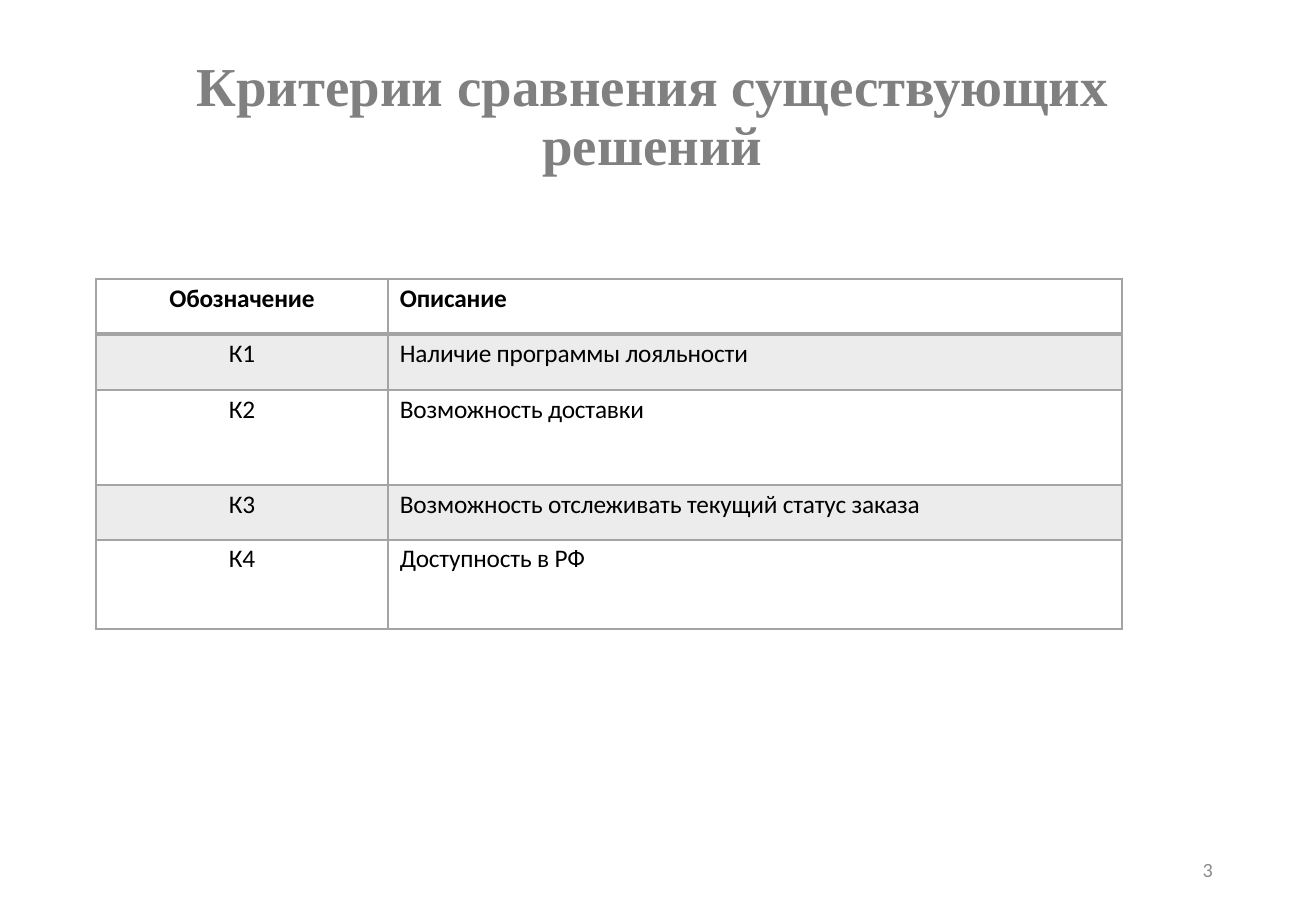
import pptx
import pptx.util
import pptx.dml.color
import pptx.enum.text
import lxml.etree

SCALE = 7526
RGB = pptx.dml.color.RGBColor
ALIGN = pptx.enum.text.PP_ALIGN
BLACK = RGB(0x00, 0x00, 0x00)
GRAY = RGB(0x80, 0x80, 0x80)
PALE = RGB(0x8C, 0x8C, 0x8C)
BAND = RGB(0xEC, 0xEC, 0xEC)
EDGE = RGB(0xA4, 0xA4, 0xA4)
ROWS = [
    ("Обозначение", "Описание", 55),
    ("К1", "Наличие программы лояльности", 56),
    ("К2", "Возможность доставки", 95),
    ("К3", "Возможность отслеживать текущий статус заказа", 55),
    ("К4", "Доступность в РФ", 89),
]
COLS = [(292, 0, ALIGN.CENTER), (734, 12, ALIGN.LEFT)]


def px(count):
    """Turn pixels into EMU."""
    return pptx.util.Emu(count * SCALE)


def write(frame, text, size, face, color, align, bold=False):
    """Put one styled paragraph in a text frame and return it."""
    para = frame.paragraphs[0]
    para.text = text
    para.alignment = align
    font = para.font
    font.size = pptx.util.Pt(size)
    font.name = face
    font.bold = bold
    font.color.rgb = color
    return para


def label(slide, box, *style):
    """Add a wrapped, vertically centred text box and return its paragraph."""
    frame = slide.shapes.add_textbox(*map(px, box)).text_frame
    frame.word_wrap = True
    frame.vertical_anchor = pptx.enum.text.MSO_ANCHOR.MIDDLE
    return write(frame, *style)


def border(cell, side, width):
    """Draw one side of a cell."""
    space = "{http://schemas.openxmlformats.org/drawingml/2006/main}"
    props = cell._tc.get_or_add_tcPr()
    line = lxml.etree.SubElement(props, space + "ln" + side)
    line.set("w", str(pptx.util.Pt(width)))
    fill = lxml.etree.SubElement(line, space + "solidFill")
    lxml.etree.SubElement(fill, space + "srgbClr").set("val", str(EDGE))


def entry(cell, text, row, inset, align):
    """Fill and style one cell."""
    cell.margin_left = px(inset)
    cell.margin_right = cell.margin_bottom = 0
    cell.margin_top = px(4)
    para = write(cell.text_frame, text, 15, "Calibri", BLACK, align, row == 0)
    para.space_before = pptx.util.Pt(2.8)
    para.font._rPr.set("spc", "-10")
    for side in "LRTB":
        heavy = (row, side) in ((0, "B"), (1, "T"))
        border(cell, side, 2.25 if heavy else 1)
    if row % 2:
        cell.fill.solid()
        cell.fill.fore_color.rgb = BAND
    else:
        cell.fill.background()


def grid(slide, left, top):
    """Add the table of criteria."""
    width = sum(col[0] for col in COLS)
    height = sum(row[-1] for row in ROWS)
    box = map(px, (left, top, width, height))
    table = slide.shapes.add_table(len(ROWS), len(COLS), *box).table
    table.first_row = table.horz_banding = False
    for col, (width, inset, align) in enumerate(COLS):
        table.columns[col].width = px(width)
        for row, data in enumerate(ROWS):
            table.rows[row].height = px(data[-1])
            entry(table.cell(row, col), data[col], row, inset, align)


def main():
    """Build and save the slide."""
    deck = pptx.Presentation()
    deck.slide_width, deck.slide_height = px(1316), px(911)
    slide = deck.slides.add_slide(deck.slide_layouts[6])
    title = label(slide, (85, 30, 1135, 176),
                  "Критерии сравнения существующих решений",
                  32.5, "Times New Roman", GRAY, ALIGN.CENTER, True)
    title.line_spacing = 0.9
    grid(slide, 96, 279)
    label(slide, (929, 845, 296, 49), "3", 12, "Calibri", PALE, ALIGN.RIGHT)
    deck.save("out.pptx")


if __name__ == "__main__":
    main()
